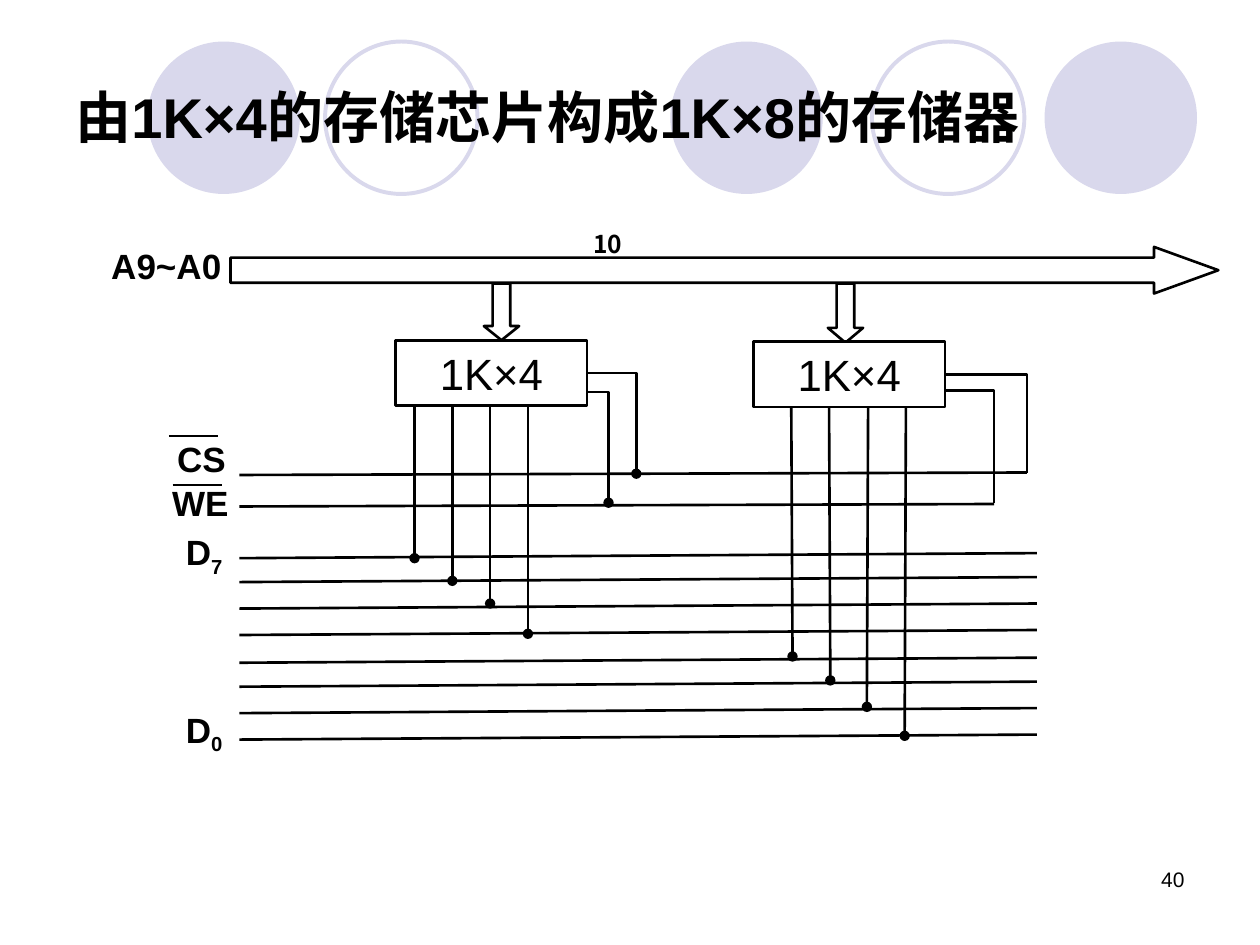
from lxml.etree import SubElement
from pptx import Presentation
from pptx.dml.color import RGBColor
from pptx.enum.shapes import MSO_CONNECTOR, MSO_SHAPE
from pptx.enum.text import MSO_ANCHOR, PP_ALIGN
from pptx.oxml.ns import qn
from pptx.util import Pt

PX = 9144  # EMU per px, 100 px to the inch
THEME = {
    "ink": RGBColor.from_string("000000"),
    "paper": RGBColor.from_string("FFFFFF"),
    "tint": RGBColor.from_string("D9D8EC"),
    "latin": "Arial", "asian": "Noto Sans CJK SC",
    "title": 32, "chip": 25, "label": 20, "width": 14, "page": 12,
    "line": 1.5, "bar": 0.75, "ring": 2.25,
}

deck = Presentation()
deck.slide_width, deck.slide_height = 1000 * PX, 750 * PX
slide = deck.slides.add_slide(deck.slide_layouts[6])
shapes = slide.shapes


def wire(x1, y1, x2, y2, weight="line", dot=False, bent=False):
    kind = MSO_CONNECTOR.ELBOW if bent else MSO_CONNECTOR.STRAIGHT
    line = shapes.add_connector(kind, x1 * PX, y1 * PX, x2 * PX, y2 * PX)
    line.line.color.rgb = THEME["ink"]
    line.line.width = Pt(THEME[weight])
    props = line._element.spPr
    if bent:  # one corner: across, then down
        props.find(qn("a:prstGeom")).set("prst", "bentConnector2")
    if dot:
        SubElement(props.find(qn("a:ln")), qn("a:tailEnd"), type="oval")
    SubElement(props, qn("a:effectLst"))


def write(shape, text, size, sub="", align=PP_ALIGN.CENTER, bold=True,
          face="latin", anchor=MSO_ANCHOR.TOP, wrap=True):
    frame = shape.text_frame
    frame.word_wrap, frame.vertical_anchor = wrap, anchor
    para = frame.paragraphs[0]
    para.alignment = align
    for part in filter(None, (text, sub)):
        run = para.add_run()
        run.text = part
        look = {"size": Pt(THEME[size]), "bold": bold, "name": THEME[face]}
        for key, value in look.items():
            setattr(run.font, key, value)
        run.font.color.rgb = THEME["ink"]
        props = run._r.get_or_add_rPr()
        SubElement(props, qn("a:ea"), typeface=THEME["asian"])
        if part == sub:
            props.set("baseline", "-25000")


# Circles behind the title
for x, solid in ((532, True), (829, True), (117, True),
                 (692, False), (258, False)):
    disc = shapes.add_shape(MSO_SHAPE.OVAL, x * PX, 33 * PX, 121 * PX, 121 * PX)
    disc.shadow.inherit = False
    if solid:
        disc.fill.solid()
        disc.fill.fore_color.rgb = THEME["tint"]
        disc.line.fill.background()
    else:
        disc.fill.background()
        disc.line.color.rgb = THEME["tint"]
        disc.line.width = Pt(THEME["ring"])

# Control lines and their taps from each chip
wire(190, 377, 815, 375)
wire(751, 297, 815, 375, bent=True)
wire(467, 296, 505, 376, dot=True, bent=True)
wire(190, 402, 789, 400)
wire(750, 310, 789, 399, bent=True)
wire(467, 311, 483, 399, dot=True, bent=True)

# Data bus, D7 down to D0
for y in (443, 462, 483, 504, 526, 545, 566, 587):
    wire(190, y, 823, y - 4)

# Data pins of the left and right chip
for top, pins in (
    (322, ((329, 329, 443), (359, 359, 461), (389, 389, 479), (419, 419, 503))),
    (324, ((628, 629, 521), (658, 659, 540), (689, 688, 561), (719, 718, 584))),
):
    for x, foot, low in pins:
        wire(x, top, foot, low, dot=True)

# Address bus, its branches and the chips
for kind, x, y, w, h, adjust, text in (
    (MSO_SHAPE.RIGHT_ARROW, 183, 196, 784, 37, (0.54, 1.38), ""),
    (MSO_SHAPE.DOWN_ARROW, 384, 225, 28, 45, (0.5, 0.4), ""),
    (MSO_SHAPE.DOWN_ARROW, 657, 225, 28, 47, (0.5, 0.42), ""),
    (MSO_SHAPE.RECTANGLE, 314, 270, 152, 52, (), "1K×4"),
    (MSO_SHAPE.RECTANGLE, 598, 271, 152, 52, (), "1K×4"),
):
    block = shapes.add_shape(kind, x * PX, y * PX, w * PX, h * PX)
    block.shadow.inherit = False
    block.fill.solid()
    block.fill.fore_color.rgb = THEME["paper"]
    block.line.color.rgb = THEME["ink"]
    block.line.width = Pt(THEME["line"])
    for i, value in enumerate(adjust):
        block.adjustments[i] = value
    if text:
        write(block, text, "chip", bold=False, anchor=MSO_ANCHOR.MIDDLE)

# Bars over the active-low signals
wire(134, 346, 173, 346, "bar")
wire(137, 385, 176, 385, "bar")

# Labels, title and page number
left = {"align": PP_ALIGN.LEFT}
for x, y, w, h, text, size, form in (
    (125, 416, 74, 48, "D", "label", {"sub": "7"}),
    (125, 557, 74, 48, "D", "label", {"sub": "0"}),
    (123, 342, 74, 44, "CS", "label", {}),
    (122, 377, 74, 44, "WE", "label", {}),
    (69, 189, 126, 44, "A9~A0", "label", {}),
    (461, 177, 44, 34, "10", "width", {"face": "asian", **left}),
    (50, 30, 900, 125, "由1K×4的存储芯片构成1K×8的存储器", "title",
     {"anchor": MSO_ANCHOR.MIDDLE, **left}),
    (717, 683, 233, 50, "40", "page",
     {"align": PP_ALIGN.RIGHT, "bold": False}),
):
    box = shapes.add_textbox(x * PX, y * PX, w * PX, h * PX)
    write(box, text, size, **form)

deck.save("out.pptx")
